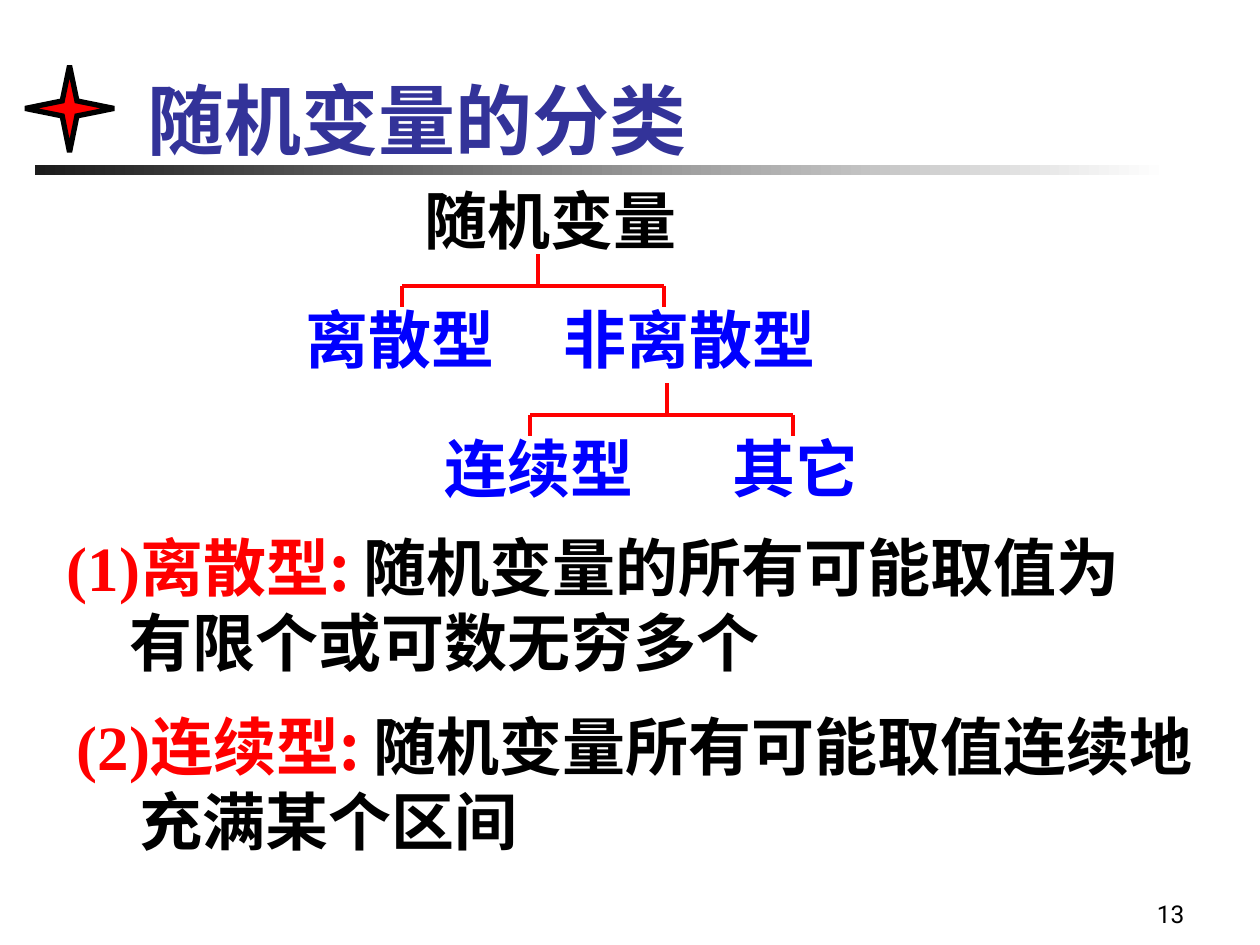
"""Build the slide on the classification of random variables."""
from pptx import Presentation
from pptx.dml.color import RGBColor
from pptx.enum.shapes import MSO_CONNECTOR, MSO_SHAPE
from pptx.enum.text import MSO_ANCHOR, MSO_AUTO_SIZE, PP_ALIGN
from pptx.oxml.ns import qn
from pptx.util import Pt
from lxml.etree import SubElement

COLORS = {"title": "333399", "blue": "0000FF", "red": "FF0000",
          "black": "000000", "white": "FFFFFF", "bar": "1C1C1C"}
SERIF, SANS, NUMBER = "Times New Roman", "Noto Sans CJK SC", "Roboto"


def color(name):
    return RGBColor.from_string(COLORS[name])


def fill_text(box, place, runs, frame_format, para_format):
    box.left, box.top, box.width, box.height = map(Pt, place)
    frame = box.text_frame
    for name, value in frame_format.items():
        setattr(frame, name, value)
    para = frame.paragraphs[0]
    for name, value in para_format.items():
        setattr(para, name, value)
    for text, size, face, tint, bold in runs:
        span = para.add_run()
        span.text = text
        for name, value in {"size": Pt(size), "name": face, "bold": bold}.items():
            setattr(span.font, name, value)
        span.font.color.rgb = color(tint)
        SubElement(span.font._element, qn("a:ea")).set("typeface", SANS)


deck = Presentation()
deck.slide_width, deck.slide_height = Pt(720), Pt(540)
page = deck.slides.add_slide(deck.slide_layouts[5])
shapes = page.shapes

bar = shapes.add_shape(MSO_SHAPE.RECTANGLE, Pt(20), Pt(94.3), Pt(648), Pt(5.8))
bar.shadow.inherit = False
bar.line.fill.background()
bar.fill.gradient()
bar.fill.gradient_angle = 0
for stop, tint in zip(bar.fill.gradient_stops, ("bar", "white")):
    stop.color.rgb = color(tint)

outline = shapes.build_freeform(Pt(14.4), Pt(62))
outline.add_line_segments([(Pt(x), Pt(y)) for x, y in (
    (35.6, 57.7), (39.8, 37.5), (44, 57.7), (65.2, 62),
    (44, 66.3), (39.8, 87), (35.6, 66.3))], close=True)
star = outline.convert_to_shape()
star.shadow.inherit = False
star.fill.solid()
star.fill.fore_color.rgb = color("red")
star.line.color.rgb = color("black")
star.line.width = Pt(3)
SubElement(star.line._get_or_add_ln(), qn("a:miter")).set("lim", "800000")

single = {"word_wrap": False, "auto_size": MSO_AUTO_SIZE.NONE,
          "vertical_anchor": MSO_ANCHOR.TOP}
wrapped = {**single, "word_wrap": True}
left = {"alignment": PP_ALIGN.LEFT}

fill_text(shapes.title, (77, 37.9, 345, 60.5),
          [("随机变量的分类", 44, SANS, "title", True)], wrapped, left)

for text, x, y, width, tint in (
        ("随机变量", 235.4, 100.1, 158.4, "black"),
        ("离散型", 167.4, 168.1, 122.4, "blue"),
        ("非离散型", 314.9, 168.1, 158.4, "blue"),
        ("连续型", 247, 241.9, 122.4, "blue"),
        ("其它", 411.4, 241.9, 86.4, "blue")):
    fill_text(shapes.add_textbox(0, 0, 0, 0), (x, y, width, 50.4),
              [(text, 36, SERIF, tint, True)], single, left)

for x, y in ((229.7, 163.3), (303, 237)):
    for x1, y1, x2, y2 in ((0, 0, 150, 0), (0, 0, 0, 12),
                           (150, 0, 150, 12), (78, 0, 78, -18)):
        branch = shapes.add_connector(MSO_CONNECTOR.STRAIGHT, Pt(x + x1),
                                      Pt(y + y1), Pt(x + x2), Pt(y + y2))
        branch.line.color.rgb = color("red")
        branch.line.width = Pt(2.25)
        SubElement(branch._element.spPr, qn("a:effectLst"))

for number, kind, meaning, x, y, width in (
        ("(1)", "离散型: ", "随机变量的所有可能取值为有限个或可数无穷多个", 31, 298.4, 635.8),
        ("(2)", "连续型: ", "随机变量所有可能取值连续地充满某个区间", 36.7, 400.5, 666.7)):
    box = shapes.add_textbox(0, 0, 0, 0)
    fill_text(box, (x, y, width, 93.6),
              [(number, 36, SERIF, "red", True), (kind, 36, SANS, "red", True),
               (meaning, 36, SANS, "black", True)], wrapped, left)
    indent = box.text_frame.paragraphs[0]._p.get_or_add_pPr()
    indent.set("marL", str(Pt(36)))
    indent.set("indent", str(Pt(-36)))

fill_text(shapes.add_textbox(0, 0, 0, 0), (534.2, 498.2, 149.8, 36),
          [("13", 14, NUMBER, "black", False)],
          {**wrapped, "vertical_anchor": MSO_ANCHOR.BOTTOM},
          {"alignment": PP_ALIGN.RIGHT})

deck.save("out.pptx")
